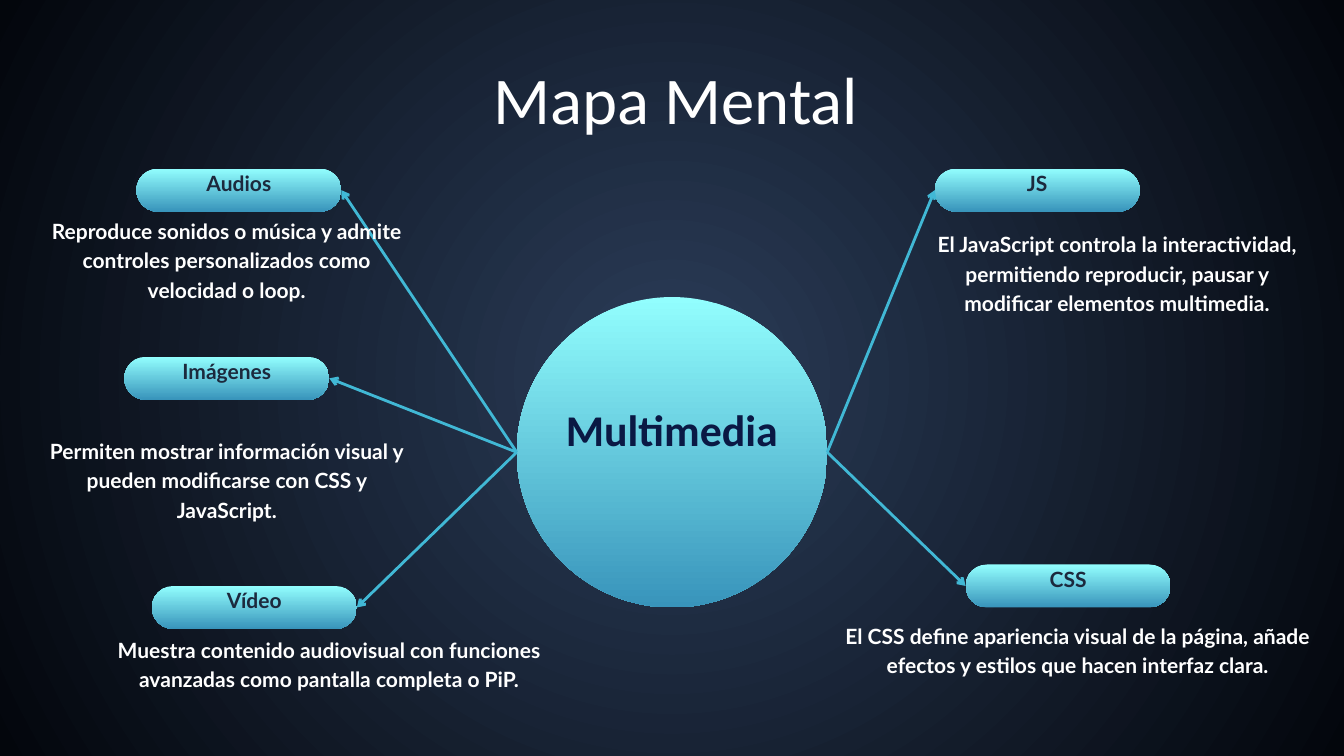
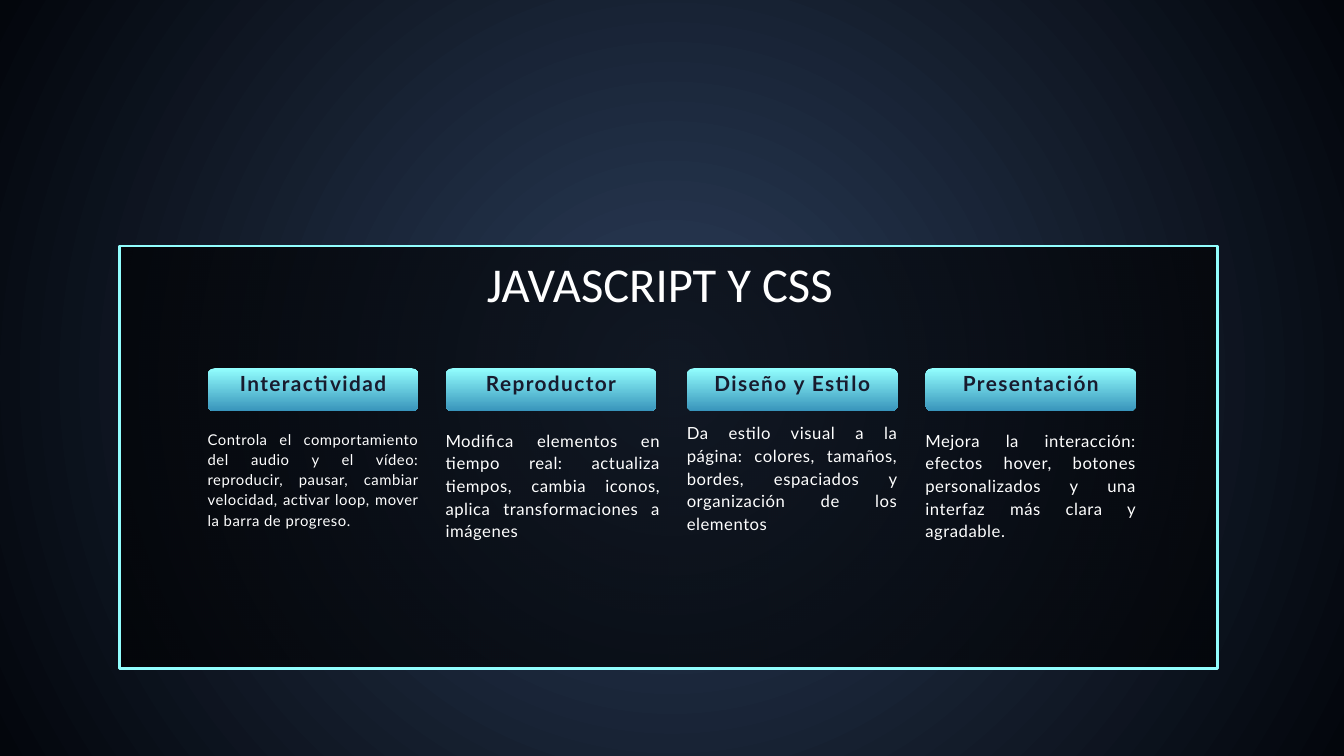
from copy import deepcopy
from dataclasses import dataclass

from lxml import etree
from pptx import Presentation
from pptx.dml.color import RGBColor
from pptx.enum.shapes import MSO_CONNECTOR, MSO_SHAPE
from pptx.enum.text import MSO_ANCHOR, MSO_AUTO_SIZE, PP_ALIGN
from pptx.oxml.ns import qn
from pptx.util import Emu, Pt

STRAIGHT = MSO_CONNECTOR.STRAIGHT
OVAL, RECTANGLE, ROUNDED = MSO_SHAPE.OVAL, MSO_SHAPE.RECTANGLE, MSO_SHAPE.ROUNDED_RECTANGLE
TOP, MIDDLE = MSO_ANCHOR.TOP, MSO_ANCHOR.MIDDLE
CENTER, JUSTIFY = PP_ALIGN.CENTER, PP_ALIGN.JUSTIFY
GROW, FIXED = MSO_AUTO_SIZE.SHAPE_TO_FIT_TEXT, MSO_AUTO_SIZE.NONE

EMU_PER_PX = 9144
SLIDE_WIDTH, SLIDE_HEIGHT = 2000, 1125
TITLE_ONLY = 5
LEFT_SIDE, RIGHT_SIDE = 1, 3
DOWNWARD = 270


@dataclass(frozen=True)
class TextStyle:
    """Type settings of one kind of text."""
    size: float
    leading: float
    color: str = "FFFFFF"
    font: str = "Lato"
    bold: bool = False
    align: PP_ALIGN = CENTER
    tracking: int = 0


class Theme:
    """Colours and type styles that both slides share."""
    background = ("2B3D59", "03060C")
    aqua = ("92FEFE", "3894BB")
    panel = ("000102", "000000")
    panel_alphas = (63, 59)
    arrow = "41B8D5"
    line_width = Pt(3)
    map_title = TextStyle(71.5, 100, font="Calibri")
    panel_title = TextStyle(52.1, 72.9, font="Calibri")
    hub = TextStyle(47, 54.5, "0A1944", "Calibri", True)
    topic = TextStyle(22.5, 31.5, "1C293D", bold=True)
    description = TextStyle(22.5, 31.5, bold=True)
    heading = TextStyle(22.3, 31.3, "181B2E", bold=True, tracking=150)
    small_body = TextStyle(15.9, 21.5, align=JUSTIFY, tracking=50)
    body = TextStyle(17.9, 24.2, align=JUSTIFY, tracking=60)


HUB = (769, 442, 462, 462)
PILL_WIDTH, PILL_HEIGHT = 305, 64
TOPICS = [
    ("Audios", (203, 251), RIGHT_SIDE, (57, 319, 561, 127),
     ["Reproduce sonidos o música y admite controles personalizados como velocidad o loop."]),
    ("Imágenes", (185, 531), RIGHT_SIDE, (57, 646, 561, 127),
     ["Permiten mostrar información visual y pueden modificarse con CSS y JavaScript."]),
    ("Vídeo", (226, 872), RIGHT_SIDE, (143, 942, 694, 84),
     ["Muestra contenido audiovisual con funciones",
      "avanzadas como pantalla completa o PiP."]),
    ("JS", (1391, 251), LEFT_SIDE, (1382, 339, 561, 170),
     ["El JavaScript controla la interactividad, permitiendo reproducir, pausar y modificar "
      "elementos multimedia."]),
    ("CSS", (1437, 840), LEFT_SIDE, (1231, 921, 746, 84),
     ["El CSS define apariencia visual de la página, añade efectos y estilos que hacen "
      "interfaz clara."]),
]

COLUMN_TOP, COLUMN_WIDTH = 548, 314
COLUMNS = [
    ("Interactividad", 309, (638, 314, 145), Theme.small_body,
     "Controla el comportamiento del audio y el vídeo: reproducir, pausar, cambiar velocidad, "
     "activar loop, mover la barra de progreso."),
    ("Reproductor", 663, (637, 320, 166), Theme.body,
     "Modifica elementos en tiempo real: actualiza tiempos, cambia iconos, aplica "
     "transformaciones a imágenes"),
    ("Diseño y Estilo", 1022, (626, 314, 166), Theme.body,
     "Da estilo visual a la página: colores, tamaños, bordes, espaciados y organización de "
     "los elementos"),
    ("Presentación", 1377, (637, 314, 166), Theme.body,
     "Mejora la interacción: efectos hover, botones personalizados y una interfaz más clara "
     "y agradable."),
]


def px(*lengths):
    """Turn lengths in px into EMU."""
    return [Emu(length * EMU_PER_PX) for length in lengths]


def apply_gradient(fill, colors, angle=DOWNWARD):
    """Give a fill a two-colour linear gradient."""
    fill.gradient()
    fill.gradient_angle = angle
    for stop, color in zip(fill.gradient_stops, colors):
        stop.color.rgb = RGBColor.from_string(color)


def set_background(master):
    """Give the master a gradient that spreads from the centre."""
    apply_gradient(master.background.fill, Theme.background)
    linear = master.element.find(".//" + qn("a:lin"))
    circle = etree.Element(qn("a:path"), path="circle")
    etree.SubElement(circle, qn("a:fillToRect"), l="50000", t="50000", r="50000", b="50000")
    linear.getparent().replace(linear, circle)


def write_text(frame, paragraphs, style, anchor=TOP, inset=0, auto_size=GROW):
    """Fill a text frame with styled paragraphs."""
    frame.word_wrap = True
    frame.auto_size = auto_size
    frame.vertical_anchor = anchor
    margin, = px(inset)
    frame.margin_left = frame.margin_right = frame.margin_top = frame.margin_bottom = margin
    for index, text in enumerate(paragraphs):
        paragraph = frame.add_paragraph() if index else frame.paragraphs[0]
        paragraph.alignment = style.align
        paragraph.line_spacing = Pt(style.leading)
        run = paragraph.add_run()
        run.text = text
        run.font.size = Pt(style.size)
        run.font.name = style.font
        run.font.bold = style.bold
        run.font.color.rgb = RGBColor.from_string(style.color)
        if style.tracking:
            run.font._element.set("spc", str(style.tracking))


def add_text(slide, box, paragraphs, style, **layout):
    """Add a text box."""
    write_text(slide.shapes.add_textbox(*px(*box)).text_frame, paragraphs, style, **layout)


def place_title(slide, box, text, style):
    """Move the title placeholder to the front and format it."""
    title = slide.shapes.title
    title.left, title.top, title.width, title.height = px(*box)
    title.element.getparent().append(title.element)
    write_text(title.text_frame, [text], style)


def add_gradient_shape(slide, preset, box):
    """Add a preset shape with the aqua gradient and no outline."""
    shape = slide.shapes.add_shape(preset, *px(*box))
    shape.shadow.inherit = False
    apply_gradient(shape.fill, Theme.aqua)
    shape.line.fill.background()
    return shape


def add_label(slide, box, text, style, roundness, rise, inset=0):
    """Add a rounded label whose text sits a little above its middle."""
    left, top, width, height = box
    label = add_gradient_shape(slide, ROUNDED, box)
    label.adjustments[0] = roundness
    add_text(slide, (left, top - rise, width, height + rise), [text], style,
             anchor=MIDDLE, inset=inset, auto_size=FIXED)
    return label


def add_arrow(slide, start, target, side):
    """Draw an arrow from a point to the middle of a side of a shape."""
    arrow = slide.shapes.add_connector(STRAIGHT, *px(*start, *start))
    arrow.end_connect(target, side)
    arrow.line.color.rgb = RGBColor.from_string(Theme.arrow)
    arrow.line.width = Theme.line_width
    properties = arrow.element.spPr
    etree.SubElement(properties.find(qn("a:ln")), qn("a:tailEnd"), type="arrow")
    etree.SubElement(properties, qn("a:effectLst"))


def add_panel(slide, box):
    """Add the translucent panel with an aqua gradient outline."""
    panel = add_gradient_shape(slide, RECTANGLE, box)
    panel.line.width = Theme.line_width
    properties = panel.element.spPr
    outline = properties.find(qn("a:ln"))
    outline.replace(outline.find(qn("a:noFill")), deepcopy(properties.find(qn("a:gradFill"))))
    apply_gradient(panel.fill, Theme.panel, 0)
    colors = properties.find(qn("a:gradFill")).iter(qn("a:srgbClr"))
    for color, alpha in zip(list(colors), Theme.panel_alphas):
        etree.SubElement(color, qn("a:alpha"), val=str(alpha * 1000))


def build_mind_map(slide):
    """Build the mind map around its hub."""
    add_gradient_shape(slide, OVAL, HUB)
    add_text(slide, (800, 602, 400, 111), ["Multimedia"], Theme.hub)
    place_title(slide, (575, 66, 862, 184), "Mapa Mental", Theme.map_title)
    left, top, width, height = HUB
    middle = top + height // 2
    starts = {RIGHT_SIDE: (left, middle), LEFT_SIDE: (left + width, middle)}
    for name, corner, side, description_box, description in TOPICS:
        pill = add_label(slide, (*corner, PILL_WIDTH, PILL_HEIGHT), name, Theme.topic,
                         roundness=0.5, rise=27, inset=6)
        add_arrow(slide, starts[side], pill, side)
        add_text(slide, description_box, description, Theme.description)


def build_columns(slide):
    """Build the panel with its headed columns."""
    add_panel(slide, (178, 366, 1634, 629))
    place_title(slide, (548, 364, 868, 133), "JAVASCRIPT Y CSS", Theme.panel_title)
    for heading, left, body_box, body_style, body in COLUMNS:
        add_label(slide, (left, COLUMN_TOP, COLUMN_WIDTH, PILL_HEIGHT), heading, Theme.heading,
                  roundness=0.16, rise=25)
        add_text(slide, (left, *body_box), [body], body_style)


def main():
    """Build and save the presentation."""
    presentation = Presentation()
    presentation.slide_width, presentation.slide_height = px(SLIDE_WIDTH, SLIDE_HEIGHT)
    set_background(presentation.slide_master)
    layout = presentation.slide_layouts[TITLE_ONLY]
    for build in (build_mind_map, build_columns):
        build(presentation.slides.add_slide(layout))
    presentation.save("out.pptx")


if __name__ == "__main__":
    main()
